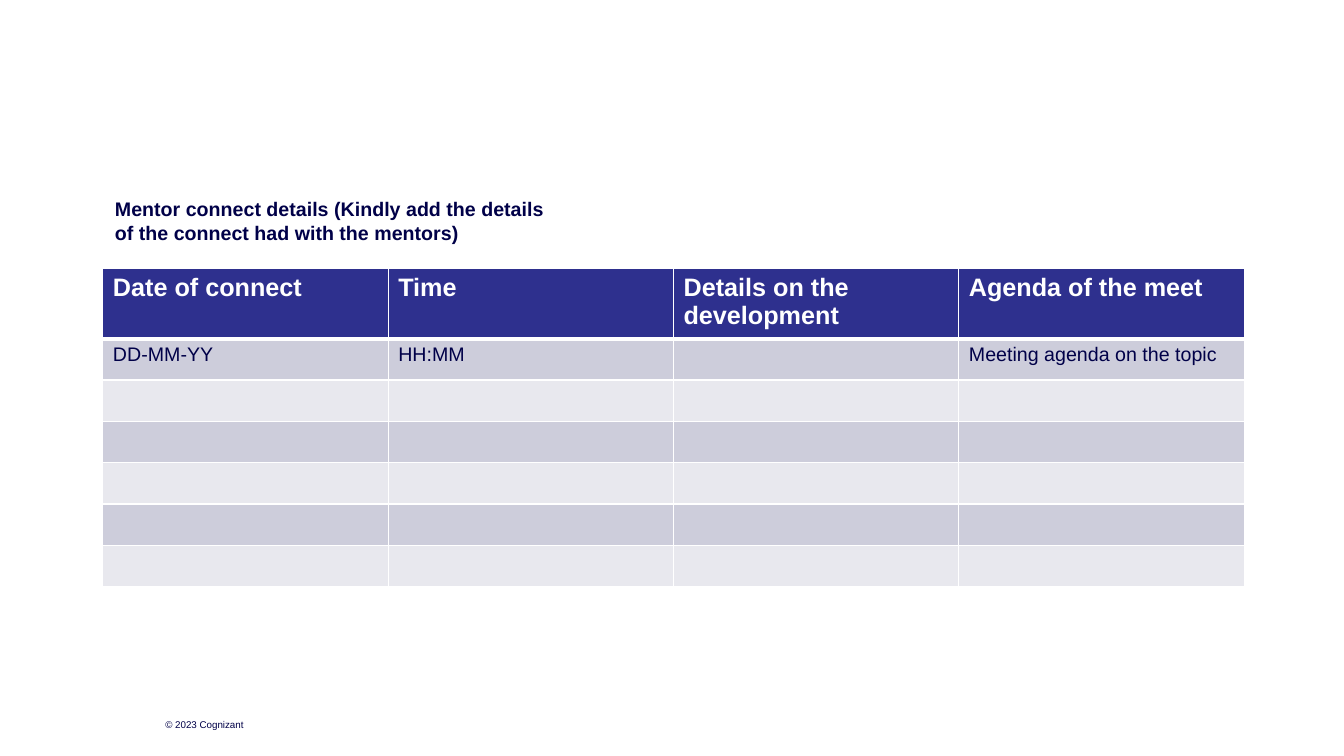
import pptx
import pptx.dml.color
import pptx.enum.text
import pptx.oxml
import pptx.oxml.ns
import pptx.util
from pptx.util import Inches

COLORS = {
    "navy": "000048",
    "header": "2E308E",
    "band_dark": "CDCDDB",
    "band_light": "E8E8EE",
    "white": "FFFFFF",
}
HEADINGS = ["Date of connect", "Time", "Details on the development", "Agenda of the meet"]
EXAMPLE = ["DD-MM-YY", "HH:MM", "", "Meeting agenda on the topic"]
EMPTY_ROWS = 5


class SlideBuilder:
    font = "Arial"

    def __init__(self, deck):
        self.page = deck.slides.add_slide(deck.slide_layouts[6])

    def color(self, name):
        return pptx.dml.color.RGBColor.from_string(COLORS[name])

    def add_words(self, para, text, size, color, bold=False):
        target = para.font
        if text:
            span = para.add_run()
            span.text = text
            target = span.font
        target.name = self.font
        target.size = pptx.util.Pt(size)
        target.bold = bold
        target.color.rgb = self.color(color)

    def text(self, left, top, width, height, text, size, bold=False, anchor="TOP", spacing=1.0):
        box = self.page.shapes.add_textbox(
            Inches(left), Inches(top), Inches(width), Inches(height))
        frame = box.text_frame
        frame.word_wrap = True
        frame.margin_left = frame.margin_right = frame.margin_top = frame.margin_bottom = 0
        frame.vertical_anchor = pptx.enum.text.MSO_ANCHOR[anchor]
        para = frame.paragraphs[0]
        para.line_spacing = spacing
        self.add_words(para, text, size, "navy", bold)

    def borders(self, cell, widths):
        properties = cell._tc.get_or_add_tcPr()
        namespace = pptx.oxml.ns.nsdecls("a")
        for index, (side, width) in enumerate(widths.items()):
            line = pptx.oxml.parse_xml(
                f'<a:ln{side} {namespace} w="{int(pptx.util.Pt(width))}"><a:solidFill>'
                f'<a:srgbClr val="{COLORS["white"]}"/></a:solidFill></a:ln{side}>')
            properties.insert(index, line)

    def table(self, left, top, column_width, row_heights, rows):
        frame = self.page.shapes.add_table(
            len(rows), len(rows[0]), Inches(left), Inches(top),
            Inches(column_width * len(rows[0])), Inches(sum(row_heights)))
        table = frame.table
        for column in table.columns:
            column.width = Inches(column_width)
        for row_index, values in enumerate(rows):
            table.rows[row_index].height = Inches(row_heights[row_index])
            heading = row_index == 0
            band = "band_dark" if row_index % 2 else "band_light"
            for column_index, value in enumerate(values):
                cell = table.cell(row_index, column_index)
                cell.fill.solid()
                cell.fill.fore_color.rgb = self.color("header" if heading else band)
                self.borders(cell, {"L": 1, "R": 1, "T": 3 if row_index == 1 else 1,
                                    "B": 3 if heading else 1})
                self.add_words(cell.text_frame.paragraphs[0], value, 18 if heading else 14,
                               "white" if heading else "navy", heading)


def main():
    deck = pptx.Presentation()
    deck.slide_width = Inches(13.33)
    deck.slide_height = Inches(7.5)
    builder = SlideBuilder(deck)
    builder.text(1.64, 6.92, 1.31, 0.33, "© 2023 Cognizant", 7, anchor="BOTTOM")
    builder.text(1.14, 1.94, 4.39, 0.4,
                 "Mentor connect details (Kindly add the details of the connect had with the mentors)",
                 14, bold=True, spacing=1.05)
    rows = [HEADINGS, EXAMPLE] + [[""] * len(HEADINGS)] * EMPTY_ROWS
    builder.table(1.02, 2.66, 2.83, [0.65] + [0.41] * (len(rows) - 1), rows)
    deck.save("out.pptx")


if __name__ == "__main__":
    main()
